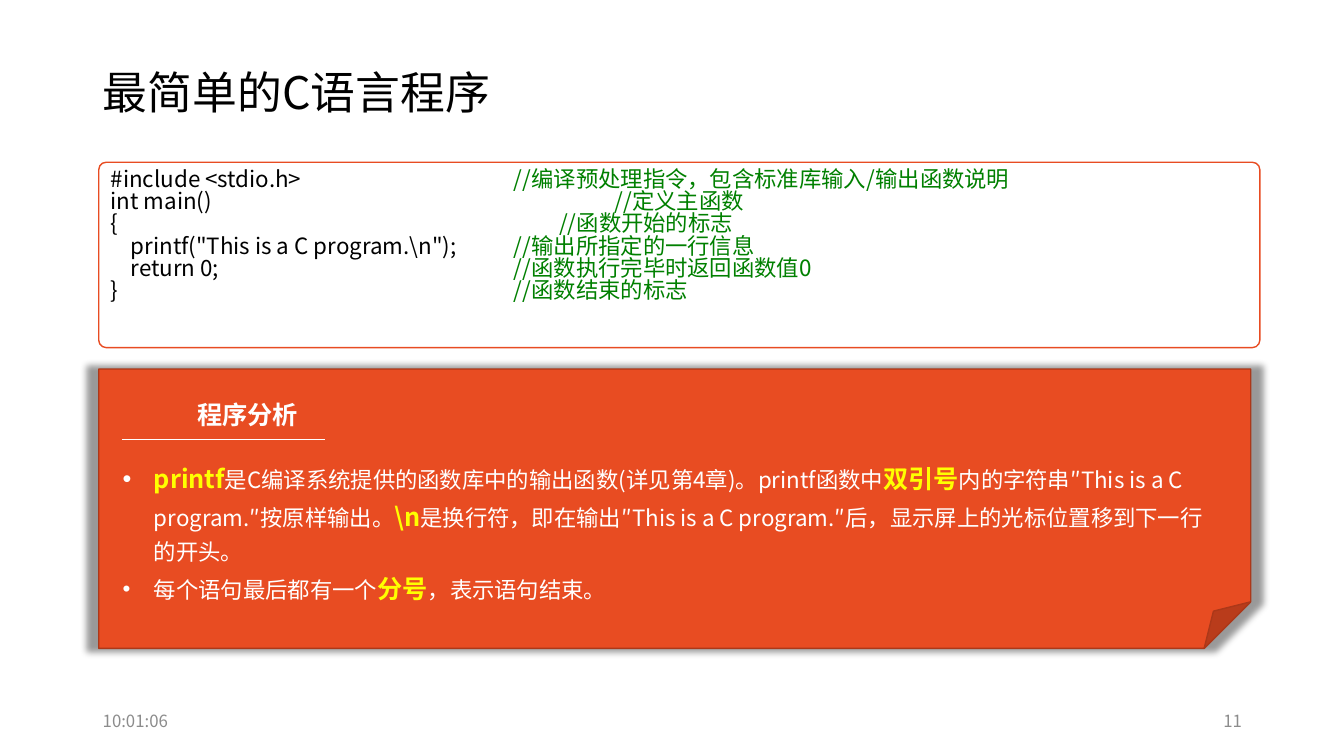
from dataclasses import dataclass
from typing import NamedTuple, Optional

from lxml.etree import SubElement
from pptx import Presentation
from pptx.dml.color import RGBColor
from pptx.enum.shapes import MSO_CONNECTOR, MSO_SHAPE as Preset
from pptx.enum.text import MSO_ANCHOR as Anchor, PP_ALIGN as Align
from pptx.oxml.ns import qn
from pptx.util import Cm, Pt


@dataclass(frozen=True)
class Theme:
    font: str = "Noto Sans CJK SC"
    black: str = "000000"
    white: str = "FFFFFF"
    comment: str = "008000"
    accent: str = "E84C22"
    accent_dark: str = "AC3819"
    highlight: str = "FFFF00"
    footer: str = "8C8C8C"
    title_size: int = 32
    key_size: int = 18
    body_size: int = 16
    footer_size: int = 12


class Box(NamedTuple):
    left: float
    top: float
    width: float
    height: float

    def lengths(self) -> list:
        return [Cm(value) for value in self]


class Piece(NamedTuple):
    text: str
    size: int
    color: str
    bold: bool = False


class CodeLine(NamedTuple):
    code: str
    comment: str
    comment_at: float = 10.16


class Label(NamedTuple):
    box: Box
    piece: Piece
    align: Align = Align.LEFT
    anchor: Anchor = Anchor.MIDDLE
    spacing: float = 1.0


THEME = Theme()


def key(text: str) -> Piece:
    return Piece(text, THEME.key_size, THEME.highlight, True)


def plain(text: str) -> Piece:
    return Piece(text, THEME.body_size, THEME.white)


LABELS = [
    Label(Box(2.34, 0.55, 29.21, 3.68),
          Piece("最简单的C语言程序", THEME.title_size, THEME.black), spacing=0.9),
    Label(Box(4.72, 9.93, 3.45, 1.17),
          Piece("程序分析", THEME.key_size, THEME.white, True),
          Align.JUSTIFY, Anchor.TOP),
    Label(Box(23.93, 17.65, 7.62, 1.02),
          Piece("11", THEME.footer_size, THEME.footer), Align.RIGHT),
    Label(Box(2.34, 17.65, 7.62, 1.02),
          Piece("10:01:06", THEME.footer_size, THEME.footer)),
]

CODE = [
    CodeLine("#include <stdio.h>", "//编译预处理指令，包含标准库输入/输出函数说明"),
    CodeLine("int main()", "//定义主函数", 12.7),
    CodeLine("{", "//函数开始的标志", 11.3),
    CodeLine('    printf("This is a C program.\\n");', "//输出所指定的一行信息"),
    CodeLine("    return 0;", "//函数执行完毕时返回函数值0"),
    CodeLine("}", "//函数结束的标志"),
]

ANALYSIS = [
    [key("printf"),
     plain("是C编译系统提供的函数库中的输出函数(详见第4章)。printf函数中"),
     key("双引号"),
     plain("内的字符串″This is a C program.″按原样输出。"),
     key("\\n"),
     plain("是换行符，即在输出″This is a C program.″后，显示屏上的光标位置移到下一行的开头。")],
    [plain("每个语句最后都有一个"), key("分号"), plain("，表示语句结束。")],
]


def add_piece(paragraph, piece: Piece) -> None:
    run = paragraph.add_run()
    run.text = piece.text
    font = run.font
    font.size, font.bold, font.name = Pt(piece.size), piece.bold, THEME.font
    font.color.rgb = RGBColor.from_string(piece.color)
    SubElement(font._element, qn("a:ea"), typeface=THEME.font)


def paragraph_at(frame, index: int):
    return frame.add_paragraph() if index else frame.paragraphs[0]


def add_text_frame(slide, box: Box, anchor: Anchor = Anchor.TOP):
    frame = slide.shapes.add_textbox(*box.lengths()).text_frame
    frame.word_wrap = True
    frame.vertical_anchor = anchor
    return frame


def add_label(slide, label: Label) -> None:
    paragraph = add_text_frame(slide, label.box, label.anchor).paragraphs[0]
    paragraph.alignment = label.align
    paragraph.line_spacing = label.spacing
    add_piece(paragraph, label.piece)


def add_panel(slide, preset: Preset, box: Box, fill: str, line: str):
    panel = slide.shapes.add_shape(preset, *box.lengths())
    panel.shadow.inherit = False
    panel.fill.solid()
    panel.fill.fore_color.rgb = RGBColor.from_string(fill)
    panel.line.color.rgb = RGBColor.from_string(line)
    panel.line.width = Pt(1)
    return panel


def add_code(slide) -> None:
    panel = add_panel(slide, Preset.ROUNDED_RECTANGLE, Box(2.49, 4.09, 29.26, 4.67),
                      THEME.white, THEME.accent)
    panel.adjustments[0] = 0.04
    frame = panel.text_frame
    frame.vertical_anchor = Anchor.TOP
    for index, line in enumerate(CODE):
        paragraph = paragraph_at(frame, index)
        paragraph.alignment = Align.LEFT
        paragraph.line_spacing = 0.83
        tabs = SubElement(paragraph._p.get_or_add_pPr(), qn("a:tabLst"))
        SubElement(tabs, qn("a:tab"), pos=str(Cm(line.comment_at)), algn="l")
        add_piece(paragraph, Piece(line.code + "\t", THEME.body_size, THEME.black))
        add_piece(paragraph, Piece(line.comment, THEME.body_size, THEME.comment))


def add_note(slide) -> None:
    note = add_panel(slide, Preset.FOLDED_CORNER, Box(2.49, 9.3, 29.03, 7.04),
                     THEME.accent, THEME.accent_dark)
    # Soft shadow, slightly larger than the note
    effects = note._element.spPr.find(qn("a:effectLst"))
    shadow = SubElement(effects, qn("a:outerShdw"), blurRad=str(Pt(5)), sx="102000",
                        sy="102000", algn="ctr", rotWithShape="0")
    shade = SubElement(shadow, qn("a:srgbClr"), val=THEME.black)
    SubElement(shade, qn("a:alpha"), val="40000")


def add_heading_rule(slide) -> None:
    rule = slide.shapes.add_connector(MSO_CONNECTOR.STRAIGHT, Cm(3.07), Cm(11.07),
                                      Cm(8.18), Cm(11.07))
    rule.line.color.rgb = RGBColor.from_string(THEME.white)
    rule.line.width = Pt(0.5)
    SubElement(rule._element.spPr, qn("a:effectLst"))


def add_analysis(slide) -> None:
    frame = add_text_frame(slide, Box(2.84, 11.35, 28.17, 4.75))
    for index, pieces in enumerate(ANALYSIS):
        paragraph = paragraph_at(frame, index)
        paragraph.line_spacing = 1.26
        properties = paragraph._p.get_or_add_pPr()
        properties.set("marL", str(Cm(0.79)))
        properties.set("indent", str(Cm(-0.79)))
        bullet_color = SubElement(properties, qn("a:buClr"))
        SubElement(bullet_color, qn("a:srgbClr"), val=THEME.white)
        SubElement(properties, qn("a:buFont"), typeface="Arial")
        SubElement(properties, qn("a:buChar"), char="•")
        for piece in pieces:
            add_piece(paragraph, piece)


def main() -> None:
    deck = Presentation()
    deck.slide_width, deck.slide_height = Cm(33.87), Cm(19.05)
    slide = deck.slides.add_slide(deck.slide_layouts[6])
    # Code listing and the analysis below it
    add_code(slide)
    add_note(slide)
    add_heading_rule(slide)
    add_analysis(slide)
    # Title, heading and footer
    for label in LABELS:
        add_label(slide, label)
    deck.save("out.pptx")


if __name__ == "__main__":
    main()
